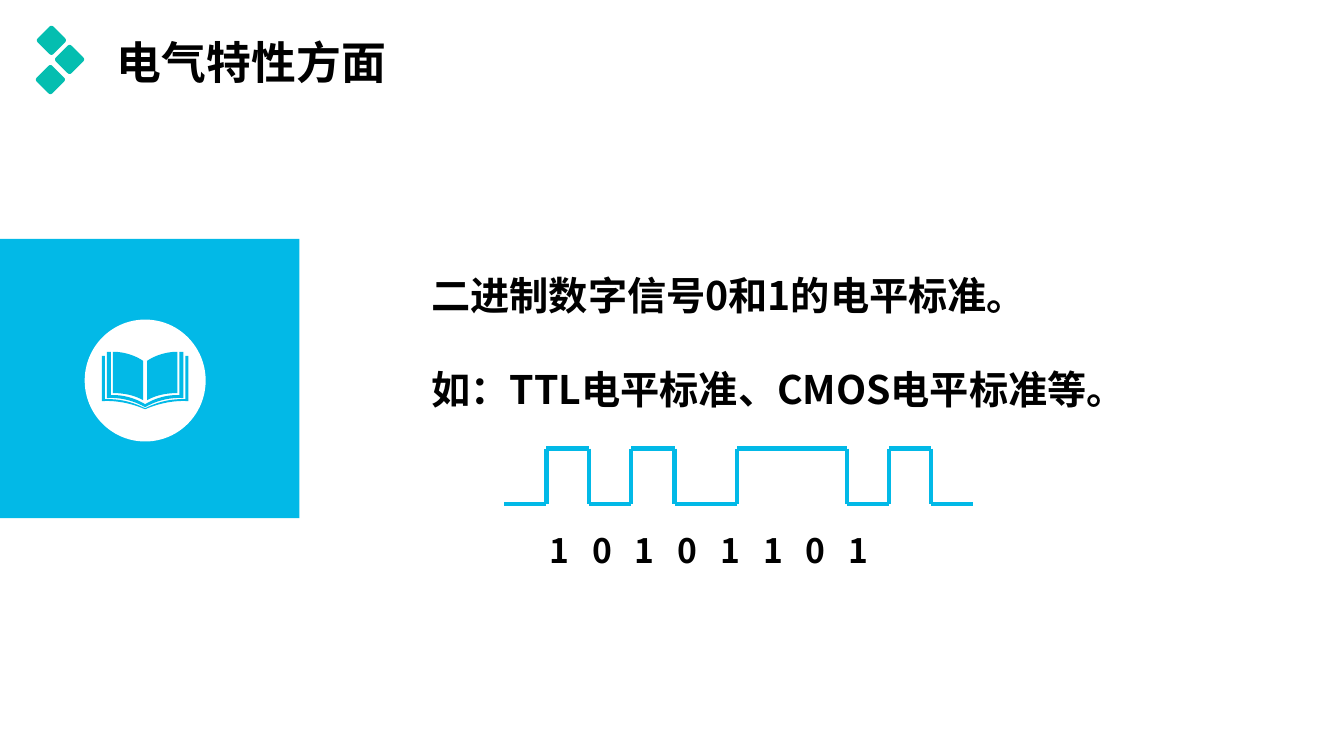
from dataclasses import dataclass

from lxml import etree
from pptx import Presentation
from pptx import util as u
from pptx.dml.color import RGBColor
from pptx.enum import shapes, text
from pptx.oxml.ns import qn


@dataclass(frozen=True)
class Theme:
    font: str = "Noto Sans CJK SC"
    ink: str = "000000"
    blue: str = "02B9E7"
    teal: str = "04BEB0"
    white: str = "FFFFFF"
    title_size: int = 32
    body_size: int = 28
    bit_size: int = 24
    wave_width: int = 3


THEME = Theme()
BITS = "10101101"
BODY_LINES = ("二进制数字信号0和1的电平标准。", "如：TTL电平标准、CMOS电平标准等。")
WAVE_EDGES = (0, 0.42, 0.84, 1.26, 1.69, 2.31, 3.4, 3.82, 4.23, 4.65)


def place(shape, left, top, width, height):
    shape.left, shape.top = u.Inches(left), u.Inches(top)
    shape.width, shape.height = u.Inches(width), u.Inches(height)


def paint(shape, color):
    shape.shadow.inherit = False
    shape.fill.solid()
    shape.fill.fore_color.rgb = RGBColor.from_string(color)
    shape.line.fill.background()


def add_block(page, kind, box, color):
    shape = page.shapes.add_shape(kind, *map(u.Inches, box))
    paint(shape, color)
    return shape


def prepare_frame(shape):
    frame = shape.text_frame
    frame.word_wrap = True
    frame.auto_size = text.MSO_AUTO_SIZE.NONE
    frame.vertical_anchor = text.MSO_ANCHOR.TOP
    return frame


def write(para, words, size, spacing):
    para.line_spacing = spacing
    para.space_before = u.Pt(0)
    span = para.add_run()
    span.text = words
    span.font.size = u.Pt(size)
    span.font.bold = True
    span.font.color.rgb = RGBColor.from_string(THEME.ink)
    span.font.name = THEME.font
    etree.SubElement(span.font._element, qn("a:ea"), typeface=THEME.font)


def add_heading(page, left, top):
    side = 0.22
    for x, y in ((0.04, 0.04), (0.22, 0.23), (0.03, 0.43)):
        tile = add_block(page, shapes.MSO_SHAPE.ROUNDED_RECTANGLE,
                         (left + x, top + y, side, side), THEME.teal)
        tile.adjustments[0] = 0.12
        tile.rotation = 45
    title = page.shapes.title
    place(title, left + 0.7, top + 0.1, 12, 1.97)
    para = prepare_frame(title).paragraphs[0]
    para.alignment = text.PP_ALIGN.JUSTIFY
    write(para, "电气特性方面", THEME.title_size, 0.9)


def curve(start, first, second, end, steps=12):
    points = []
    for step in range(steps + 1):
        t = step / steps
        weights = ((1 - t) ** 3, 3 * t * (1 - t) ** 2, 3 * t * t * (1 - t), t ** 3)
        points.append(tuple(sum(w * p[axis] for w, p in zip(weights, (start, first, second, end)))
                            for axis in (0, 1)))
    return points


def mirror(points):
    return [(-x, y) for x, y in reversed(points)]


def add_book(page, center, top):
    leaf = (curve((0.02, 0.09), (0.11, 0.03), (0.22, 0), (0.32, 0))
            + curve((0.32, 0.41), (0.21, 0.41), (0.11, 0.43), (0.02, 0.48)))
    band = (curve((0, 0.55), (0.12, 0.48), (0.26, 0.45), (0.38, 0.46))
            + [(0.38, 0), (0.34, 0), (0.34, 0.43)]
            + curve((0.31, 0.43), (0.21, 0.43), (0.1, 0.46), (0, 0.52)))
    cover = (curve((0, 0.57), (0.14, 0.51), (0.29, 0.48), (0.43, 0.49))
             + [(0.43, 0.04), (0.4, 0.04), (0.4, 0.47)]
             + curve((0.36, 0.47), (0.24, 0.47), (0.12, 0.5), (0, 0.56)))
    outlines = [leaf, mirror(leaf), band + mirror(band), cover + mirror(cover)]
    builder = None
    for outline in outlines:
        points = [(u.Inches(center + x), u.Inches(top + y)) for x, y in outline]
        if builder is None:
            builder = page.shapes.build_freeform(*points[0], scale=1.0)
        else:
            builder.move_to(*points[0])
        builder.add_line_segments(points[1:], close=True)
    paint(builder.convert_to_shape(), THEME.blue)


def add_book_panel(page, left, top):
    add_block(page, shapes.MSO_SHAPE.RECTANGLE, (left, top, 2.99, 2.77), THEME.blue)
    add_block(page, shapes.MSO_SHAPE.OVAL, (left + 0.86, top + 0.8, 1.2, 1.21), THEME.white)
    add_book(page, left + 1.46, top + 1.12)


def add_body(page, left, top):
    body = page.placeholders[1]
    place(body, left, top, 8.11, 1.99)
    frame = prepare_frame(body)
    for number, words in enumerate(BODY_LINES):
        para = frame.add_paragraph() if number else frame.paragraphs[0]
        para.level = 1
        settings = para._p.get_or_add_pPr()
        settings.set("marL", str(u.Inches(0.5)))
        settings.set("indent", "0")
        etree.SubElement(settings, qn("a:buNone"))
        write(para, words, THEME.body_size, 2.0)


def add_wave_line(page, *ends):
    line = page.shapes.add_connector(shapes.MSO_CONNECTOR.STRAIGHT, *map(u.Inches, ends))
    line.line.color.rgb = RGBColor.from_string(THEME.blue)
    line.line.width = u.Pt(THEME.wave_width)
    etree.SubElement(line._element.spPr, qn("a:effectLst"))


def add_wave(page, left, top):
    low = top + 0.55
    edges = [left + edge for edge in WAVE_EDGES]
    for number, (start, end) in enumerate(zip(edges, edges[1:])):
        level = top if number % 2 else low
        add_wave_line(page, start, level, end, level)
        if number:
            add_wave_line(page, start, top, start, low)


def add_bits(page, left, top):
    box = page.shapes.add_textbox(*map(u.Inches, (left, top, 4.93, 0.64)))
    para = prepare_frame(box).paragraphs[0]
    tabs = etree.SubElement(para._p.get_or_add_pPr(), qn("a:tabLst"))
    for number in range(1, len(BITS)):
        etree.SubElement(tabs, qn("a:tab"), pos=str(u.Inches(2.97 * number / 7)), algn="l")
    write(para, "\t".join(BITS), THEME.bit_size, 1.5)


def main():
    deck = Presentation()
    deck.slide_width, deck.slide_height = u.Inches(13.33), u.Inches(7.5)
    page = deck.slides.add_slide(deck.slide_layouts[1])
    add_book_panel(page, -0.02, 2.37)
    add_heading(page, 0.36, 0.25)
    add_body(page, 3.68, 2.17)
    add_wave(page, 5, 4.45)
    add_bits(page, 5.35, 5.01)
    deck.save("out.pptx")


if __name__ == "__main__":
    main()
